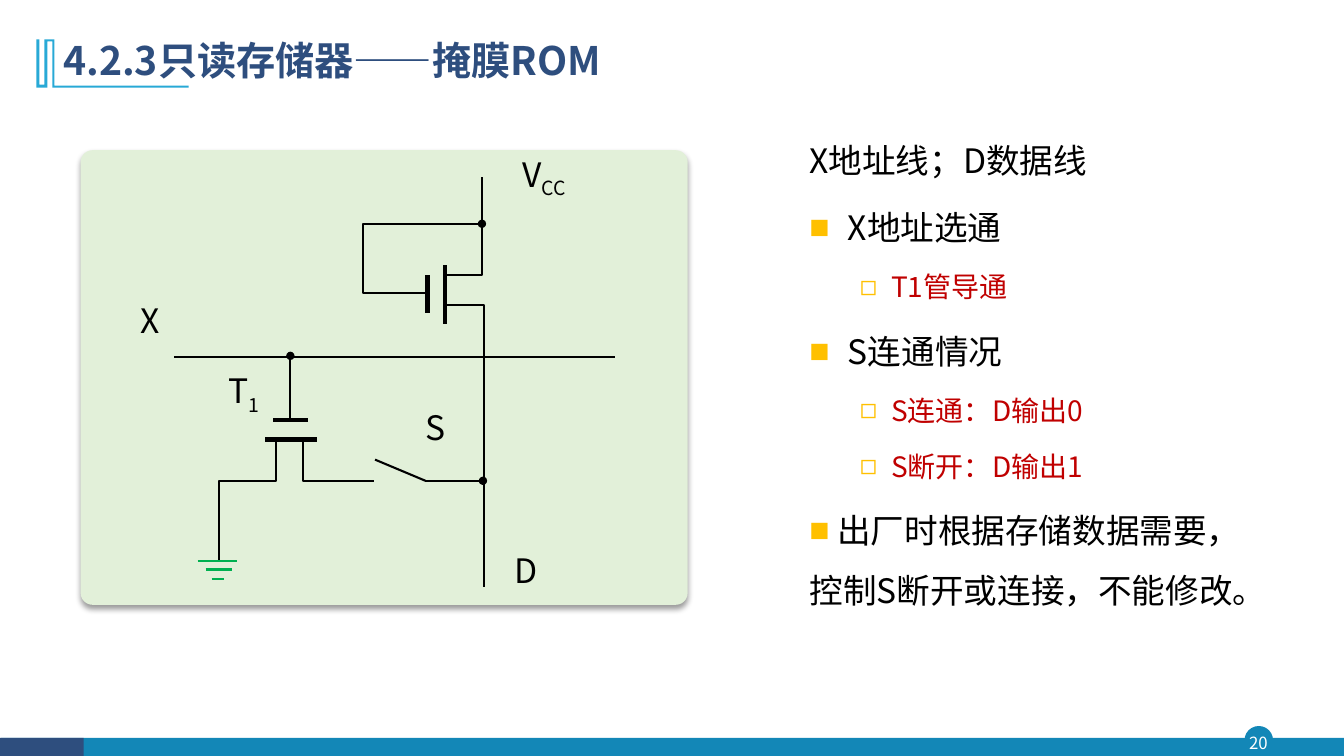
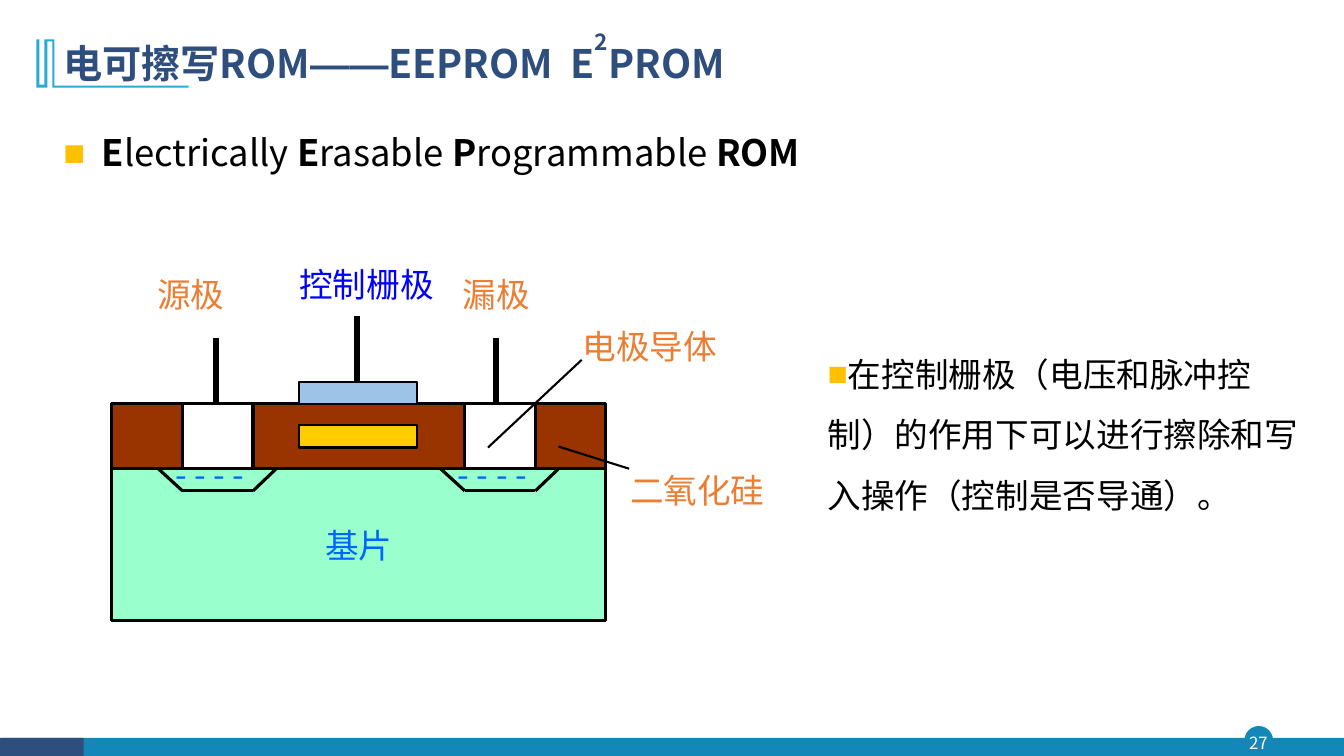
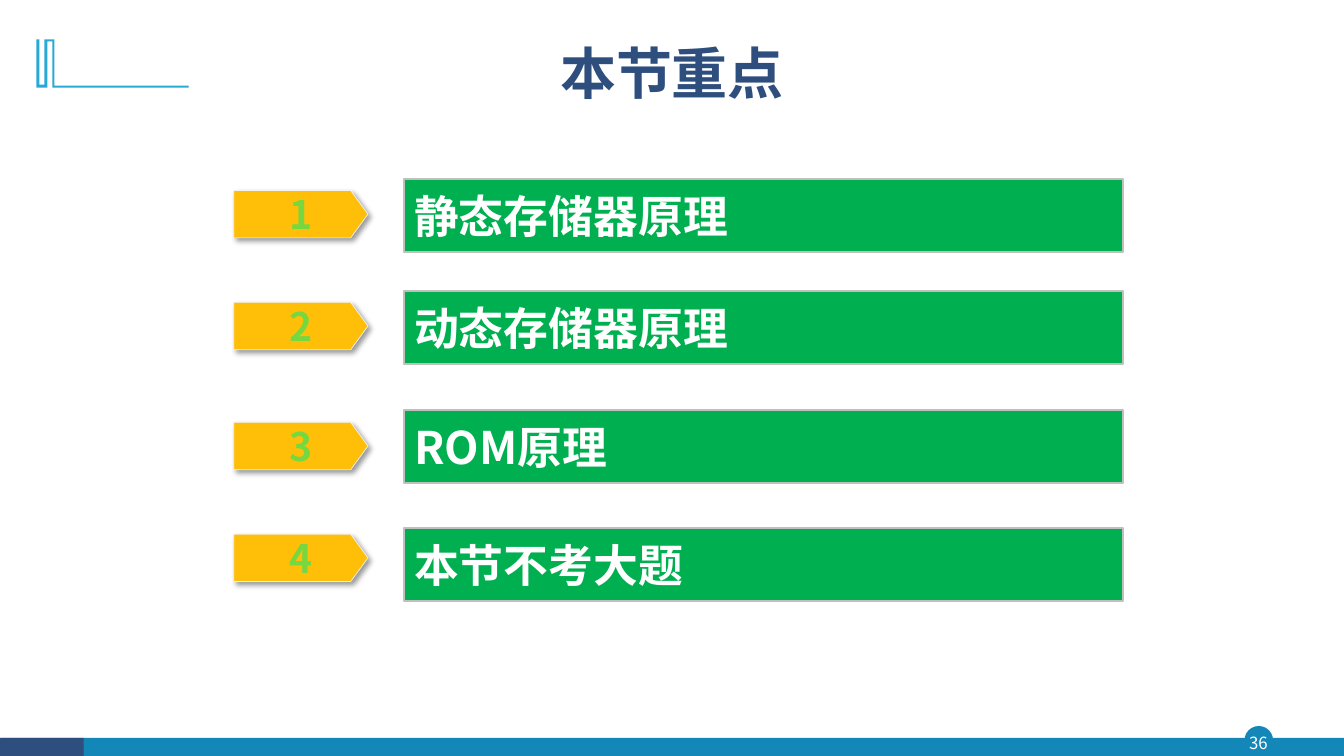
from lxml import etree
from pptx import Presentation
from pptx import util as u
from pptx.dml import color as dml
from pptx.enum import shapes, text
from pptx.oxml import ns

FONT = "Noto Sans CJK SC"
NAVY, TEAL, SKY = "2E4E7E", "1387B7", "28A9D6"
BLACK, WHITE, RED, GOLD = "000000", "FFFFFF", "C00000", "FFC000"
GREEN, ORANGE, BLUE = "00B050", "ED7D31", "0066FF"
BROWN, MINT = "993300", "99FFCC"
LEFT, CENTER, RIGHT = text.PP_ALIGN.LEFT, text.PP_ALIGN.CENTER, text.PP_ALIGN.RIGHT
RECT = shapes.MSO_SHAPE.RECTANGLE


def rgb(value):
    """Turn a hex string into a colour."""
    return dml.RGBColor.from_string(value)


def child(parent, tag, **attributes):
    """Append a DrawingML element with the given attributes."""
    element = etree.SubElement(parent, ns.qn(f"a:{tag}"))
    for key, value in attributes.items():
        element.set(key, str(value))
    return element


def write(frame, content, size=24, color=BLACK, bold=False, align=LEFT, font=FONT,
          leading=None, before=0, bullet=None, left=0, hang=0):
    """Add a paragraph of text, or of (text, overrides) runs, to a frame."""
    paragraph = frame.add_paragraph() if frame.text else frame.paragraphs[0]
    paragraph.alignment = align
    if leading:
        paragraph.line_spacing = leading
    if before:
        paragraph.space_before = u.Pt(before)
    if bullet:
        properties = paragraph._p.get_or_add_pPr()
        properties.set("marL", str(u.Inches(left)))
        properties.set("indent", str(-u.Inches(hang)))
        child(child(properties, "buClr"), "srgbClr", val=GOLD)
        child(properties, "buFont", typeface="Arial")
        child(properties, "buChar", char=bullet)
    for words, changes in [(content, {})] if isinstance(content, str) else content:
        run = paragraph.add_run()
        run.text = words
        run.font.size = u.Pt(size)
        run.font.bold = changes.get("bold", bold)
        run.font.color.rgb = rgb(color)
        run.font.name = changes.get("font", font)
        properties = run._r.get_or_add_rPr()
        child(properties, "ea", typeface=run.font.name)
        if "base" in changes:
            properties.set("baseline", str(changes["base"] * 1000))


def set_frame(frame, inset=None, middle=False):
    """Set wrapping, insets and vertical anchor of a text frame."""
    frame.word_wrap = True
    frame.vertical_anchor = text.MSO_ANCHOR.MIDDLE if middle else text.MSO_ANCHOR.TOP
    if inset is not None:
        frame.margin_left = frame.margin_right = u.Inches(inset)
        frame.margin_top = frame.margin_bottom = u.Inches(inset)
    return frame


def text_area(slide, box, inset=None, middle=False):
    """Add a text box and return its frame."""
    area = slide.shapes.add_textbox(*map(u.Inches, box))
    return set_frame(area.text_frame, inset, middle)


def label(slide, box, content, inset=0.01, **style):
    """Add a one-line diagram label."""
    write(text_area(slide, box, inset), content, leading=u.Pt(28.8), **style)


def paint(item, fill=None, line=None, weight=1.0):
    """Set fill and outline and drop the theme shadow."""
    item.shadow.inherit = False
    if fill:
        item.fill.solid()
        item.fill.fore_color.rgb = rgb(fill)
    else:
        item.fill.background()
    if line:
        item.line.color.rgb = rgb(line)
        item.line.width = u.Pt(weight)
    else:
        item.line.fill.background()
    return item


def block(slide, box, fill, line=None, weight=1.0, kind=RECT, adjust=None):
    """Add a preset shape."""
    item = slide.shapes.add_shape(kind, *map(u.Inches, box))
    if adjust is not None:
        item.adjustments[0] = adjust
    return paint(item, fill, line, weight)


def cast_shadow(item, angle):
    """Give a shape a soft outer shadow."""
    effects = item._element.spPr.find(ns.qn("a:effectLst"))
    shadow = child(effects, "outerShdw", blurRad=u.Pt(4), dist=u.Pt(3),
                   dir=angle * 60000, algn="t", rotWithShape=0)
    child(child(shadow, "srgbClr", val=BLACK), "alpha", val=40000)


def end_dot(item):
    """End a line with a round dot."""
    child(item._element.spPr.find(ns.qn("a:ln")), "tailEnd", type="oval")


def line(slide, start, end, color=BLACK, weight=1.5, dot=False):
    """Draw a straight line."""
    link = slide.shapes.add_connector(shapes.MSO_CONNECTOR.STRAIGHT,
                                      *map(u.Inches, (*start, *end)))
    link.line.color.rgb = rgb(color)
    link.line.width = u.Pt(weight)
    child(link._element.spPr, "effectLst")
    if dot:
        end_dot(link)


def outline(slide, points, closed=False):
    """Build a freeform through points given in inches."""
    corners = [(u.Inches(x), u.Inches(y)) for x, y in points]
    builder = slide.shapes.build_freeform(*corners[0], scale=1.0)
    builder.add_line_segments(corners[1:], close=closed)
    return builder.convert_to_shape()


def wire(slide, points, dot=False):
    """Draw a bent circuit wire."""
    bend = paint(outline(slide, points), line=BLACK, weight=1.5)
    if dot:
        end_dot(bend)


def start_slide(deck, number, title, box=(0.53, 0.28, 11.5, 0.68), size=28, align=LEFT):
    """Add a slide with footer band, page number, corner mark and title."""
    slide = deck.slides.add_slide(deck.slide_layouts[6])
    block(slide, (12.35, 7.21, 0.27, 0.27), TEAL, TEAL, kind=shapes.MSO_SHAPE.OVAL)
    block(slide, (0.01, 7.32, 13.32, 0.19), TEAL)
    block(slide, (0, 7.32, 0.83, 0.19), NAVY)
    write(text_area(slide, (12.32, 7.21, 0.32, 0.31), 0, True), str(number),
          size=12, color=WHITE, align=CENTER)
    mark = [(0.54, 0.39), (0.54, 0.85), (1.87, 0.85), (1.87, 0.87), (0.52, 0.87),
            (0.52, 0.41), (0.47, 0.41), (0.47, 0.87), (0.36, 0.87), (0.36, 0.39),
            (0.39, 0.39), (0.39, 0.84), (0.44, 0.84), (0.44, 0.39)]
    paint(outline(slide, mark, closed=True), SKY)
    write(text_area(slide, box, middle=True), title, size=size, color=NAVY,
          bold=True, align=align, leading=0.9)
    return slide


def draw_mask_circuit(slide):
    """Draw the mask ROM cell on its green panel."""
    panel = block(slide, (0.8, 1.49, 6.02, 4.51), "E2F0D9",
                  kind=shapes.MSO_SHAPE.ROUNDED_RECTANGLE, adjust=0.026)
    cast_shadow(panel, 90)
    wire(slide, [(4.42, 2.73), (4.78, 2.73), (4.78, 1.76)])
    wire(slide, [(4.42, 3.03), (4.8, 3.03), (4.8, 5.82)])
    wire(slide, [(4.23, 2.91), (3.6, 2.91), (3.6, 2.22), (4.78, 2.22)], dot=True)
    wire(slide, [(3.01, 4.36), (3.01, 4.77), (3.71, 4.77)])
    wire(slide, [(2.74, 4.36), (2.74, 4.77), (2.17, 4.77), (2.17, 5.57)])
    line(slide, (1.73, 3.54), (6.1, 3.54))
    line(slide, (4.22, 4.77), (4.79, 4.77), dot=True)
    line(slide, (4.22, 4.77), (3.72, 4.56))
    line(slide, (2.88, 4.17), (2.88, 3.53), dot=True)
    for start, end in [((2.63, 4.36), (3.14, 4.36)), ((2.71, 4.17), (3.05, 4.17)),
                       ((4.24, 2.73), (4.24, 3.11)), ((4.41, 2.63), (4.41, 3.21))]:
        line(slide, start, end, weight=3)
    for left, right, y in [(1.96, 2.35, 5.57), (2.04, 2.3, 5.65), (2.1, 2.22, 5.74)]:
        line(slide, (left, y), (right, y), GREEN)
    for x, y, width, name, index in [
            (4.88, 1.58, 0.73, "V", "CC"), (1.11, 2.98, 0.47, "X", ""),
            (3.95, 4.04, 0.47, "S", ""), (4.86, 5.46, 0.47, "D", ""),
            (2.1, 3.73, 0.47, "T", "1")]:
        runs = [(name, {})] + ([(index, {"base": -25})] if index else [])
        label(slide, (x, y, width, 0.54), runs, inset=0, align=RIGHT)


def mask_rom_slide(deck):
    """Build the mask ROM slide."""
    slide = start_slide(deck, 20, "4.2.3只读存储器——掩膜ROM")
    draw_mask_circuit(slide)
    notes = text_area(slide, (7.93, 1.14, 4.42, 5.02))
    main_point = dict(leading=u.Pt(43.2), before=4.8, bullet="■")
    point = dict(main_point, left=0.38, hang=0.38)
    detail = dict(size=20, color=RED, leading=u.Pt(36), before=4, bullet="◻",
                  left=0.81, hang=0.31)
    write(notes, "X地址线；D数据线", leading=u.Pt(43.2))
    for words, style in [
            ("X地址选通", point), ("T1管导通", detail), ("S连通情况", point),
            ("S连通：D输出0", detail), ("S断开：D输出1", detail),
            (" 出厂时根据存储数据需要，控制S断开或连接，不能修改。", main_point)]:
        write(notes, words, **style)


def draw_eeprom_cell(slide):
    """Draw the cross-section of the EEPROM cell."""
    base = block(slide, (1.11, 4.65, 4.9, 1.51), MINT, BLACK, 2.25)
    write(set_frame(base.text_frame, middle=True), "基片", color=BLUE, align=CENTER)
    for x, width in [(1.11, 0.7), (2.51, 2.1), (5.31, 0.7)]:
        block(slide, (x, 4, width, 0.65), BROWN, BLACK, 2.25)
    for x, top_end, pin in [(1.81, 2.51, 2.14), (4.61, 5.42, 4.92)]:
        line(slide, (x, 4), (top_end, 4), weight=2.25)
        line(slide, (pin, 3.35), (pin, 4), weight=4.5)
        well = [(x - 0.24, 4.65), (x, 4.87), (x + 0.7, 4.87), (x + 0.93, 4.65)]
        for start, end in zip(well, well[1:]):
            line(slide, start, end, weight=2.25)
        label(slide, (x - 0.08, 4.49, 0.94, 0.43), "- - - -", color=BLUE)
    line(slide, (4.84, 4.44), (5.77, 3.57))
    line(slide, (5.54, 4.43), (6.24, 4.65))
    block(slide, (2.97, 4.22, 1.17, 0.22), "FFCC00", BLACK, 1.5)
    block(slide, (2.97, 3.79, 1.17, 0.22), "9DC3E6", BLACK, 1.5)
    line(slide, (3.54, 3.14), (3.54, 3.79), weight=4.5)
    for x, y, name, color in [
            (1.55, 2.71, "源极", ORANGE), (4.58, 2.71, "漏极", ORANGE),
            (5.77, 3.22, "电极导体", ORANGE), (6.24, 4.65, "二氧化硅", ORANGE),
            (2.96, 2.61, "控制栅极", "0000FF")]:
        label(slide, (x, y, 1.87, 0.65), name, color=color)


def eeprom_slide(deck):
    """Build the EEPROM slide."""
    slide = start_slide(deck, 27, [
        ("电可擦写ROM", {}), ("——", {"font": "Arial"}), ("EEPROM  E", {}),
        ("2", {"base": 70}), ("PROM", {})])
    strong = {"bold": True}
    write(text_area(slide, (0.53, 1.03, 11.5, 0.8)), [
        ("E", strong), ("lectrically ", {}), ("E", strong), ("rasable ", {}),
        ("P", strong), ("rogrammable ", {}), ("ROM", strong)],
        size=26, leading=u.Pt(46.8), bullet="■", left=0.38, hang=0.38)
    draw_eeprom_cell(slide)
    write(text_area(slide, (8.11, 3.26, 4.96, 1.91)),
          "在控制栅极（电压和脉冲控制）的作用下可以进行擦除和写入操作（控制是否导通）。",
          leading=u.Pt(43.2), bullet="■")


def key_points_slide(deck):
    """Build the numbered list of key points."""
    slide = start_slide(deck, 36, "本节重点", (3.1, 0.2, 7.13, 1.12), 40, CENTER)
    topics = [("静态存储器原理", 1.89, 1.78), ("动态存储器原理", 3, 2.89),
              ("ROM原理", 4.19, 4.07), ("本节不考大题", 5.3, 5.24)]
    for number, (topic, tag_top, bar_top) in enumerate(topics, 1):
        tag = block(slide, (2.32, tag_top, 1.33, 0.47), "FFBF09", "F2F2F2", 0.5,
                    shapes.MSO_SHAPE.PENTAGON, 0.365)
        cast_shadow(tag, 45)
        tag_text = set_frame(tag.text_frame, 0, True)
        tag_text.margin_left = u.Inches(0.08)
        write(tag_text, str(number), size=28, color="75D840", bold=True, align=CENTER)
        bar = block(slide, (4.01, bar_top, 7.13, 0.72), GREEN, "BFBFBF", 1.5)
        write(set_frame(bar.text_frame, middle=True), topic, size=32, color=WHITE,
              bold=True)


def main():
    """Build and save the deck."""
    deck = Presentation()
    deck.slide_width, deck.slide_height = u.Inches(13.33), u.Inches(7.5)
    mask_rom_slide(deck)
    eeprom_slide(deck)
    key_points_slide(deck)
    deck.save("out.pptx")


if __name__ == "__main__":
    main()
